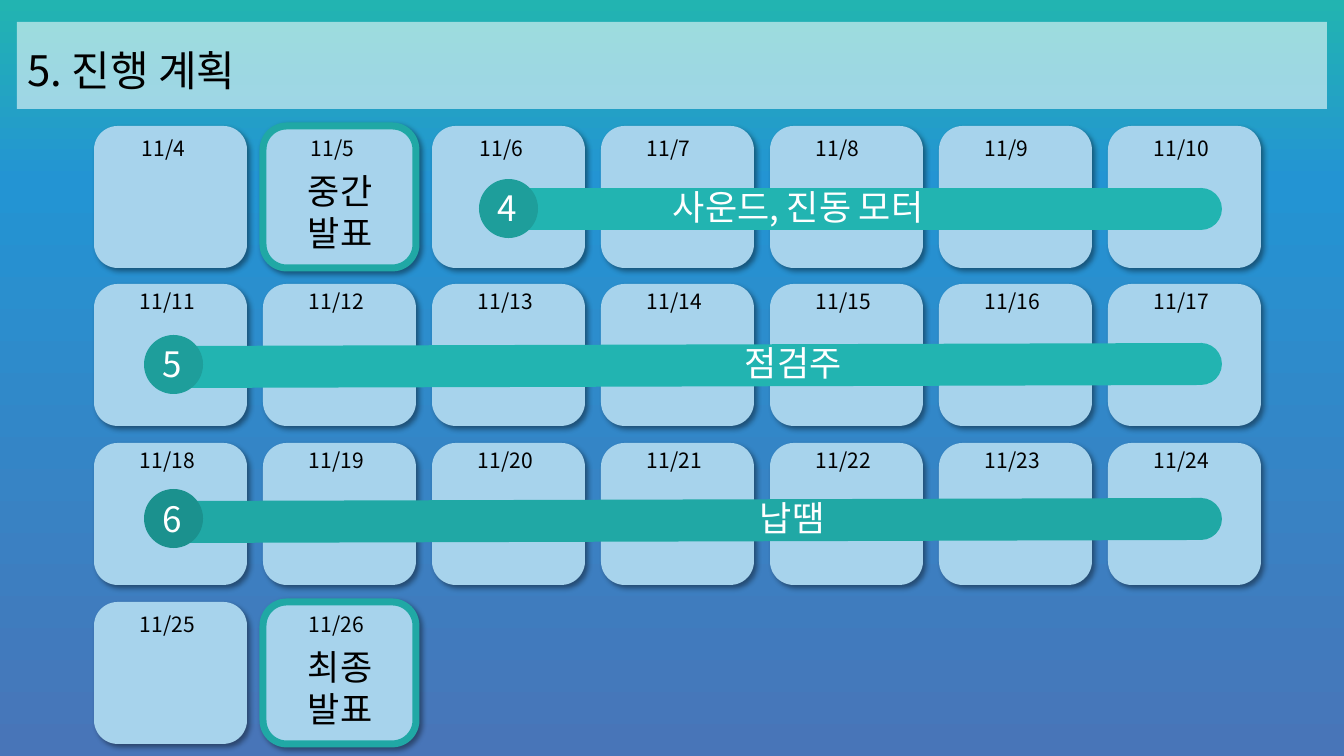
from lxml import etree
from pptx import Presentation
from pptx.dml.color import RGBColor
from pptx.enum.shapes import MSO_CONNECTOR, MSO_SHAPE
from pptx.enum.text import MSO_ANCHOR, MSO_AUTO_SIZE, PP_ALIGN
from pptx.oxml.ns import qn
from pptx.util import Emu, Pt

PX = 914400 / 100.8
FONT = "Noto Sans CJK KR"
BLACK = RGBColor(0x00, 0x00, 0x00)
WHITE = RGBColor(0xFF, 0xFF, 0xFF)
CARD = RGBColor(0xA7, 0xD3, 0xEC)
TEAL = RGBColor(0x22, 0xB4, 0xB1)
TEAL_DISC = RGBColor(0x1E, 0x9E, 0x9B)
DEEP = RGBColor(0x20, 0xA8, 0xA5)
DEEP_DISC = RGBColor(0x1B, 0x91, 0x8E)

prs = Presentation()
prs.slide_width, prs.slide_height = Emu(round(1344 * PX)), Emu(round(756 * PX))
s = prs.slides.add_slide(prs.slide_layouts[5])


def add_shape(kind, x, y, w, h, fill):
    sp = s.shapes.add_shape(kind, *[Emu(round(v * PX)) for v in (x, y, w, h)])
    sp.shadow.inherit = False
    sp.fill.solid()
    sp.fill.fore_color.rgb = fill
    sp.line.fill.background()
    return sp


def write(text, x, y, w, h, size, color=BLACK, sp=None):
    box = [Emu(round(v * PX)) for v in (x, y, w, h)]
    sp = sp or s.shapes.add_textbox(*box)
    sp.left, sp.top, sp.width, sp.height = box
    tf = sp.text_frame
    formats = {"word_wrap": True, "auto_size": MSO_AUTO_SIZE.SHAPE_TO_FIT_TEXT,
               "vertical_anchor": MSO_ANCHOR.TOP}
    for name, value in formats.items():
        setattr(tf, name, value)
    tf.text = text
    for p in tf.paragraphs:
        p.alignment = PP_ALIGN.LEFT
        for r in p.runs:
            for name, value in {"size": Pt(size), "name": FONT}.items():
                setattr(r.font, name, value)
            r.font.color.rgb = color
            latin = r.font._element.find(qn("a:latin"))
            ea = etree.Element(qn("a:ea"), typeface=FONT)
            latin.addnext(ea)


# Background gradient
bg = s.background.fill
bg.gradient()
bg.gradient_angle = 270
stops = s._element.find(".//" + qn("a:gsLst"))
for stop in list(stops):
    stops.remove(stop)
for pos, color, alpha in ((0, "22B4B1", 100), (24, "2394D3", 90), (100, "4875B8", 100)):
    stop = etree.SubElement(stops, qn("a:gs"), pos=str(pos * 1000))
    clr = etree.SubElement(stop, qn("a:srgbClr"), val=color)
    if alpha < 100:
        etree.SubElement(clr, qn("a:alpha"), val=str(alpha * 1000))

# Title on a translucent band
band = add_shape(MSO_SHAPE.RECTANGLE, 17, 22, 1310, 87, WHITE)
clr = band._element.spPr.find(".//" + qn("a:srgbClr"))
etree.SubElement(clr, qn("a:alpha"), val="56000")
title = s.shapes.title
title._element.addprevious(band._element)
write("5. 진행 계획", 17, 39, 358, 61, 30, sp=title)

# Calendar cards, seven days a row
label_tops = (131, 284, 443, 607)
for day in range(4, 27):
    row, col = divmod(day - 4, 7)
    card = add_shape(MSO_SHAPE.ROUNDED_RECTANGLE,
                     94 + 169 * col, 126 + 476 * row // 3, 153, 142, CARD)
    if day in (5, 26):
        card.line.color.rgb = DEEP
        card.line.width = Pt(5)
    effects = card._element.spPr.find(qn("a:effectLst"))
    shadow = etree.SubElement(effects, qn("a:outerShdw"), blurRad=str(Pt(4)),
                              dist=str(Pt(3)), dir="2700000", algn="tl", rotWithShape="0")
    clr = etree.SubElement(shadow, qn("a:srgbClr"), val="000000")
    etree.SubElement(clr, qn("a:alpha"), val="40000")
    nudge = 2 if day < 7 else 0
    write(f"11/{day}", 130 + 169 * col + nudge, label_tops[row], 81, 35, 15)

# Presentation days
write("중간\n발표", 298, 165, 89, 95, 25)
write("최종발표", 298, 641, 89, 95, 25)

# Numbered task bars: start and end of the line, disc, label
tasks = (
    ("4", "사운드, 진동 모터", TEAL, TEAL_DISC, 522, 209, 209, 479, 179, 663, 181, 321),
    ("5", "점검주", TEAL, TEAL_DISC, 180, 367, 364, 144, 335, 735, 337, 223),
    ("6", "납땜", DEEP, DEEP_DISC, 180, 522, 519, 144, 489, 750, 492, 223),
)
for number, task, color, disc, x, y, end_y, disc_x, disc_y, text_x, text_y, text_w in tasks:
    bar = s.shapes.add_connector(MSO_CONNECTOR.STRAIGHT,
                                 *[Emu(round(v * PX)) for v in (x, y, 1202, end_y)])
    bar.line.color.rgb = color
    bar.line.width = Pt(30)
    etree.SubElement(bar._element.spPr, qn("a:effectLst"))
    add_shape(MSO_SHAPE.OVAL, 1180, end_y - 21, 42, 42, color)
    add_shape(MSO_SHAPE.OVAL, disc_x, disc_y, 59, 59, disc)
    write(task, text_x, text_y, text_w, 52, 25, WHITE)
    write(number, disc_x + 9, text_y + 1, 34, 52, 25, WHITE)

prs.save("out.pptx")
